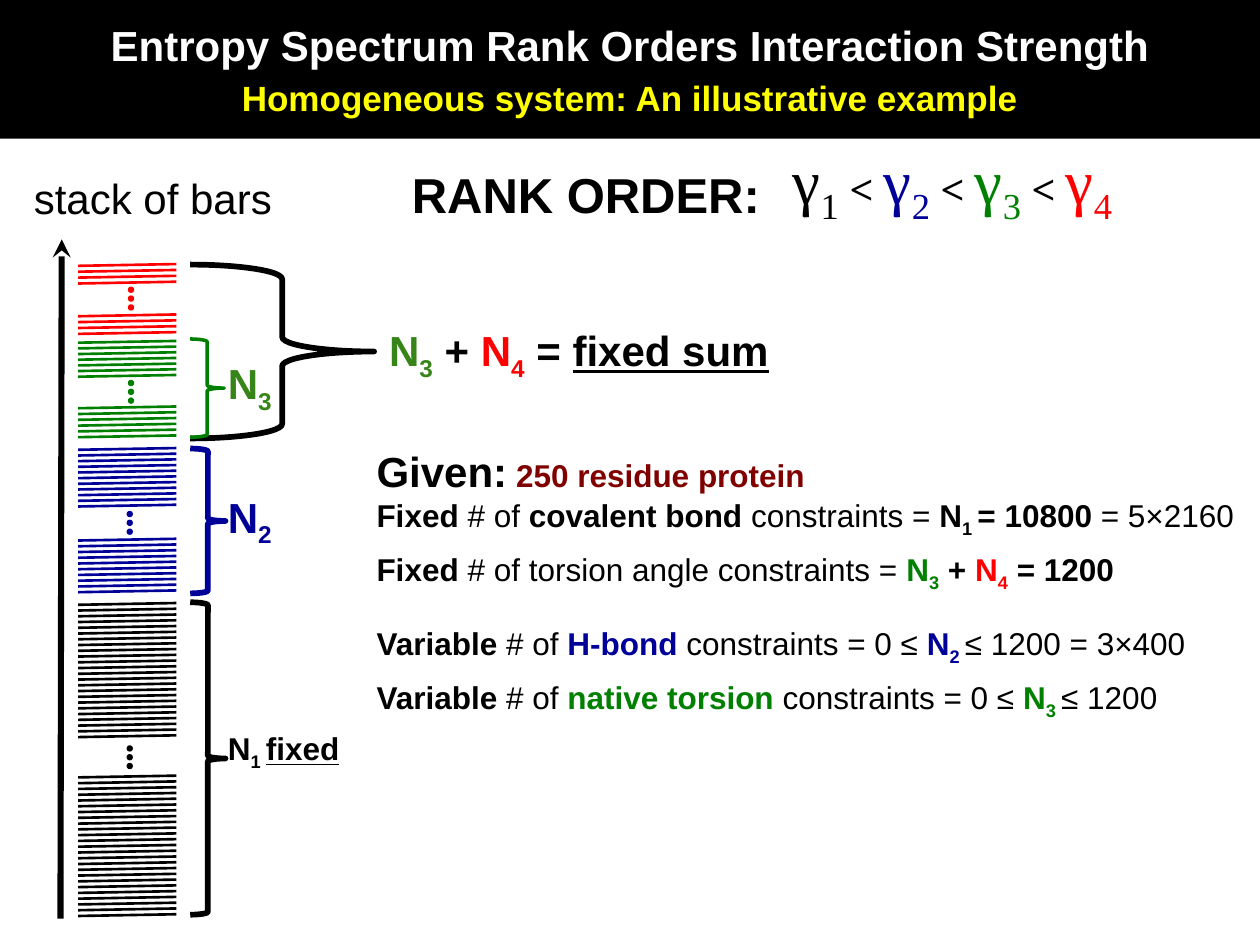
"""Builds the entropy spectrum slide with its stack of constraint bars."""
from dataclasses import dataclass
from typing import Optional

from lxml.etree import SubElement
from pptx import Presentation
from pptx.dml.color import RGBColor
from pptx.enum.shapes import MSO_CONNECTOR, MSO_SHAPE
from pptx.enum.text import MSO_ANCHOR, MSO_AUTO_SIZE, PP_ALIGN
from pptx.oxml.ns import qn
from pptx.util import Inches, Pt

BLACK, WHITE, YELLOW, MAROON = "000000", "FFFFFF", "FFFF00", "800000"
RED, GREEN, BLUE, LEAF = "FF0000", "008000", "000099", "378518"


@dataclass(frozen=True)
class Span:
    text: str
    color: str = BLACK
    bold: Optional[bool] = None
    size: Optional[float] = None
    sub: bool = False
    underline: Optional[bool] = None


@dataclass(frozen=True)
class Line:
    spans: list[Span]
    size: float = 18
    bold: bool = False
    before: float = 0
    after: float = 0
    align: PP_ALIGN = PP_ALIGN.LEFT
    font: str = "Arial"


@dataclass(frozen=True)
class Label:
    left: float
    top: float
    width: float
    height: float
    lines: list[Line]
    wrap: bool = False


@dataclass(frozen=True)
class Bars:
    first: float
    last: float
    count: int
    color: str


@dataclass(frozen=True)
class Dots:
    left: float
    top: float
    color: str


@dataclass(frozen=True)
class Brace:
    top: float
    width: float
    height: float
    color: str
    weight: float = 3.25


def rgb(color: str) -> RGBColor:
    return RGBColor.from_string(color)


def symbol(letter: str, index: str, color: str = BLACK, size: Optional[float] = None) -> list[Span]:
    return [Span(letter, color, size=size), Span(index, color, size=size, sub=True)]


def write(frame, lines: list[Line]) -> None:
    for number, line in enumerate(lines):
        para = frame.add_paragraph() if number else frame.paragraphs[0]
        para.alignment = line.align
        para.space_before, para.space_after = Pt(line.before), Pt(line.after)
        para.font.name, para.font.size, para.font.bold = line.font, Pt(line.size), line.bold
        for part in line.spans:
            span = para.add_run()
            span.text = part.text
            span.font.color.rgb = rgb(part.color)
            span.font.bold = part.bold
            span.font.underline = part.underline
            if part.size:
                span.font.size = Pt(part.size)
            if part.sub:
                span._r.get_or_add_rPr().set("baseline", "-25000")


def add_label(page, label: Label) -> None:
    box = page.shapes.add_textbox(*map(Inches, (label.left, label.top, label.width, label.height)))
    box.text_frame.word_wrap = label.wrap
    box.text_frame.auto_size = MSO_AUTO_SIZE.SHAPE_TO_FIT_TEXT
    write(box.text_frame, label.lines)


def add_line(page, start: tuple, end: tuple, color: str, weight: float):
    line = page.shapes.add_connector(MSO_CONNECTOR.STRAIGHT, *map(Inches, start + end))
    line.line.color.rgb = rgb(color)
    line.line.width = Pt(weight)
    SubElement(line._element.spPr, qn("a:effectLst"))
    return line


def add_shape(page, kind: MSO_SHAPE, place: tuple, fill: Optional[str],
              outline: Optional[str] = None, weight: float = 0.75):
    shape = page.shapes.add_shape(kind, *map(Inches, place))
    shape.shadow.inherit = False
    if fill:
        shape.fill.solid()
        shape.fill.fore_color.rgb = rgb(fill)
    else:
        shape.fill.background()
    if outline:
        shape.line.color.rgb = rgb(outline)
        shape.line.width = Pt(weight)
    else:
        shape.line.fill.background()
    return shape


def add_bars(page, bars: Bars) -> None:
    gap = (bars.last - bars.first) / (bars.count - 1)
    for number in range(bars.count):
        height = bars.first + number * gap
        add_line(page, (0.62, height), (1.4, height - 0.014), bars.color, 1.5)


def add_dots(page, dots: Dots) -> None:
    for number in range(3):
        place = (dots.left, dots.top + 0.07 * number, 0.04, 0.04)
        add_shape(page, MSO_SHAPE.OVAL, place, dots.color, dots.color)


BARS = [
    Bars(2.11, 2.25, 4, RED), Bars(2.51, 2.65, 4, RED),
    Bars(2.72, 2.99, 7, GREEN), Bars(3.24, 3.47, 6, GREEN),
    Bars(3.57, 4.02, 11, BLUE), Bars(4.29, 4.7, 10, BLUE),
    Bars(4.8, 5.85, 24, BLACK), Bars(6.17, 7.27, 25, BLACK),
]
DOTS = [Dots(1.02, 2.28, RED), Dots(1.02, 3.02, GREEN), Dots(1.01, 4.06, BLUE), Dots(1.01, 5.92, BLACK)]
BRACES = [
    Brace(4.78, 0.28, 2.48, BLACK), Brace(2.1, 1.46, 1.38, BLACK),
    Brace(2.69, 0.27, 0.78, GREEN, 2), Brace(3.56, 0.28, 1.15, BLUE),
]
TITLE = [
    Line([Span("Entropy Spectrum Rank Orders Interaction Strength", WHITE)], 24, True, align=PP_ALIGN.CENTER),
    Line([Span("Homogeneous system: An illustrative example", YELLOW)], 20, True, 4, align=PP_ALIGN.CENTER),
]
GIVEN = [
    Line([Span("Given:", size=24), Span(" "), Span("250 residue protein", MAROON)], bold=True),
    Line([Span("Fixed ", bold=True), Span("# of "), Span("covalent bond ", bold=True),
          Span("constraints = "), Span("N", bold=True), Span("1 ", bold=True, sub=True),
          Span("= 10800", bold=True), Span(" = 5×2160")], after=6),
    Line([Span("Fixed"), Span(" # of torsion angle constraints = ", bold=False),
          *symbol("N", "3", GREEN), Span(" + "), *symbol("N", "4", RED), Span(" = 1200")],
         bold=True, after=6),
    Line([Span("Variable", bold=True), Span(" # of "), Span("H-bond", BLUE, True),
          Span(" constraints = 0 ≤ "), Span("N", BLUE, True), Span("2 ", BLUE, True, sub=True),
          Span("≤ 1200 = 3×400")], before=12, after=6),
    Line([Span("Variable", bold=True), Span(" # of "), Span("native torsion", GREEN, True),
          Span(" constraints = 0 ≤ "), Span("N", GREEN, True), Span("3 ", GREEN, True, sub=True),
          Span("≤ 1200")], after=6),
]
LESS = [Span(" "), Span("< ", bold=True)]
RANKS = [
    *symbol("γ", "1", BLACK, 36), *LESS, *symbol("γ", "2", BLUE, 36), *LESS,
    *symbol("γ", "3", GREEN, 36), *LESS, *symbol("γ", "4", RED, 36),
]
FIXED_SUM = [
    *symbol("N", "3", LEAF), Span(" + "), *symbol("N", "4", RED),
    Span(" = "), Span("fixed sum", underline=True),
]
LABELS = [
    Label(2.89, 3.49, 7.11, 2.52, GIVEN),
    Label(5.86, 1.07, 3.4, 0.71,
          [Line(RANKS, 24, align=PP_ALIGN.CENTER, font="Times New Roman")], True),
    Label(3.17, 1.26, 2.99, 0.57, [Line([Span("RANK ORDER:")], 28, True)]),
    Label(0.17, 1.32, 2.11, 0.51, [Line([Span("stack of bars")], 24)]),
    Label(1.71, 3.85, 0.57, 0.51, [Line(symbol("N", "2", BLUE), 24, True)]),
    Label(2.99, 2.53, 3.66, 0.5, [Line(FIXED_SUM, 24, True)], True),
    Label(1.71, 5.74, 1.55, 0.51,
          [Line([Span("N"), Span("1 ", sub=True), Span("fixed", underline=True)], 18, True)], True),
    Label(1.71, 2.79, 0.57, 0.51, [Line(symbol("N", "3", LEAF), 24, True)]),
]


def main() -> None:
    deck = Presentation()
    deck.slide_width, deck.slide_height = Inches(10), Inches(7.5)
    page = deck.slides.add_slide(deck.slide_layouts[6])
    banner = add_shape(page, MSO_SHAPE.RECTANGLE, (0, 0, 10, 1.1), BLACK)
    banner.text_frame.vertical_anchor = MSO_ANCHOR.MIDDLE
    write(banner.text_frame, TITLE)
    axis = add_line(page, (0.49, 1.9), (0.48, 7.29), BLACK, 3.5)
    SubElement(axis.line._get_or_add_ln(), qn("a:headEnd"), type="stealth")
    for bars in BARS:
        add_bars(page, bars)
    for dots in DOTS:
        add_dots(page, dots)
    for brace in BRACES:
        add_shape(page, MSO_SHAPE.RIGHT_BRACE, (1.51, brace.top, brace.width, brace.height),
                  None, brace.color, brace.weight)
    for label in LABELS:
        add_label(page, label)
    deck.save("out.pptx")


if __name__ == "__main__":
    main()
